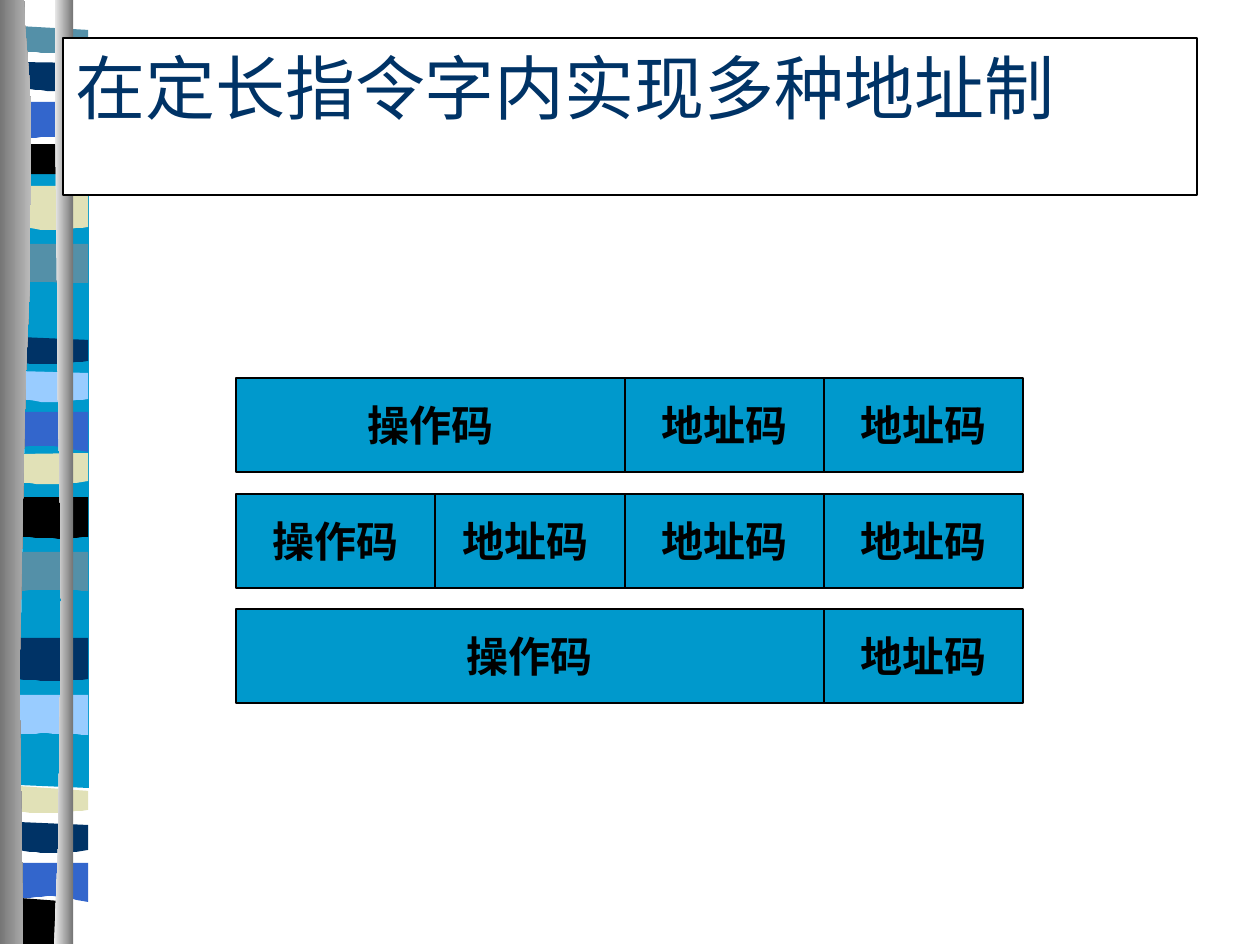
import math
from dataclasses import dataclass

import pptx
import pptx.dml.color
import pptx.enum.shapes
import pptx.enum.text
import pptx.util

PX = 914400 // 126

TITLE = "在定长指令字内实现多种地址制"
OPCODE, ADDRESS = "操作码", "地址码"
INSTRUCTIONS = [(378, 2), (494, 3), (609, 1)]  # top, number of addresses


@dataclass(frozen=True)
class Theme:
    black: str = "000000"
    white: str = "FFFFFF"
    navy: str = "003366"
    cyan: str = "0099CC"
    blue: str = "3366CC"
    sky: str = "99CCFF"
    teal: str = "5490A8"
    sand: str = "E1E1B7"
    shade: str = "767676"
    silver: str = "BBBBBB"
    pale: str = "EEEEEE"
    title_font: str = "Times New Roman"
    field_font: str = "Roboto"
    title_size: int = 40
    field_size: int = 24
    line_width: float = 0.75


THEME = Theme()

BAND_LEFT, BAND_RIGHT = 18, 88
# colour, top left, top right, bottom left, bottom right, sag of the bottom edge
BANDS = [
    (THEME.teal, 26, 30, 52, 54, 0),
    (THEME.navy, 62, 63, 87, 87, 4),
    (THEME.blue, 102, 102, 139, 139, -2),
    (THEME.black, 144, 144, 174, 174, 0),
    (THEME.sand, 186, 186, 227, 227, 3),
    (THEME.teal, 244, 244, 282, 283, 0),
    (THEME.navy, 337, 340, 363, 361, 2),
    (THEME.sky, 371, 373, 399, 399, 3),
    (THEME.blue, 412, 412, 447, 452, -3),
    (THEME.sand, 454, 453, 482, 481, 3),
    (THEME.black, 497, 497, 536, 537, 2),
    (THEME.teal, 552, 552, 591, 591, -1),
    (THEME.navy, 638, 638, 679, 679, 2),
    (THEME.sky, 695, 695, 734, 735, -1),
    (THEME.sand, 786, 791, 812, 810, 2),
    (THEME.navy, 822, 825, 850, 850, 3),
    (THEME.blue, 863, 863, 899, 902, -4),
]
BACKDROP = [(30, 150), (89, 150), (89, 788), (18, 785)]
FOOT = [(20, 898), (73, 902), (73, 944), (20, 944)]
LEFT_POLE = [(0, 0), (24, 0), (25, 26), (31, 100), (31, 180), (30, 280), (26, 370),
             (24, 450), (22, 550), (20, 650), (20, 720), (22, 860), (23, 944), (0, 944)]
RIGHT_POLE = [(73, 0), (55, 0), (55, 100), (57, 280), (58, 400), (60, 500),
              (61, 600), (60, 700), (58, 850), (54, 944), (73, 944)]

TITLE_BOX = (63, 38, 1134, 157)
FIELD_WIDTH, FIELD_HEIGHT = 199, 94
WORD_LEFT, WORD_RIGHT = 236, 1023


def rgb(colour):
    return pptx.dml.color.RGBColor.from_string(colour)


def add_outline(slide, points, colours):
    """Closed polygon; two colours give a left-to-right gradient."""
    builder = slide.shapes.build_freeform(*points[0], scale=PX)
    builder.add_line_segments(points[1:], close=True)
    outline = builder.convert_to_shape()
    outline.shadow.inherit = False
    outline.line.fill.background()
    if len(colours) == 1:
        outline.fill.solid()
        outline.fill.fore_color.rgb = rgb(colours[0])
    else:
        outline.fill.gradient()
        outline.fill.gradient_angle = 0
        for stop, colour in zip(outline.fill.gradient_stops, colours):
            stop.color.rgb = rgb(colour)


def band_points(top_left, top_right, bottom_left, bottom_right, sag, steps=12):
    points = [(BAND_LEFT, top_left), (BAND_RIGHT, top_right)]
    for step in range(steps, -1, -1):
        t = step / steps
        points.append((BAND_LEFT + t * (BAND_RIGHT - BAND_LEFT),
                       bottom_left + t * (bottom_right - bottom_left)
                       + sag * math.sin(math.pi * t)))
    return points


def add_box(slide, box, text, fill):
    """Outlined rectangle; returns its text frame and paragraph for styling."""
    rectangle = slide.shapes.add_shape(
        pptx.enum.shapes.MSO_SHAPE.RECTANGLE, *(v * PX for v in box))
    rectangle.shadow.inherit = False
    rectangle.fill.solid()
    rectangle.fill.fore_color.rgb = rgb(fill)
    rectangle.line.color.rgb = rgb(THEME.black)
    rectangle.line.width = pptx.util.Pt(THEME.line_width)
    frame = rectangle.text_frame
    frame.text = text
    return frame, frame.paragraphs[0]


def style(paragraph, font, size, colour, bold, alignment):
    paragraph.alignment = alignment
    paragraph.font.name = font
    paragraph.font.size = pptx.util.Pt(size)
    paragraph.font.color.rgb = rgb(colour)
    paragraph.font.bold = bold


def add_field(slide, left, top, width, text):
    frame, label = add_box(slide, (left, top, width, FIELD_HEIGHT), text, THEME.cyan)
    frame.word_wrap = False
    frame.vertical_anchor = pptx.enum.text.MSO_ANCHOR.MIDDLE
    style(label, THEME.field_font, THEME.field_size, THEME.black, True,
          pptx.enum.text.PP_ALIGN.CENTER)


def add_border(slide):
    add_outline(slide, BACKDROP, [THEME.cyan])
    for colour, *edges in BANDS:
        add_outline(slide, band_points(*edges), [colour])
    add_outline(slide, FOOT, [THEME.black])
    add_outline(slide, LEFT_POLE, [THEME.shade, THEME.silver])
    add_outline(slide, RIGHT_POLE, [THEME.pale, THEME.shade])


def add_title(slide):
    frame, heading = add_box(slide, TITLE_BOX, TITLE, THEME.white)
    frame.word_wrap = True
    frame.vertical_anchor = pptx.enum.text.MSO_ANCHOR.TOP
    style(heading, THEME.title_font, THEME.title_size, THEME.navy, False,
          pptx.enum.text.PP_ALIGN.LEFT)


def add_instruction(slide, top, addresses):
    """Addresses fill the word from the right; the opcode takes the rest."""
    left = WORD_RIGHT
    for _ in range(addresses):
        left -= FIELD_WIDTH
        add_field(slide, left, top, FIELD_WIDTH, ADDRESS)
    add_field(slide, WORD_LEFT, top, max(FIELD_WIDTH, left - WORD_LEFT), OPCODE)


def main():
    deck = pptx.Presentation()
    deck.slide_width, deck.slide_height = 1260 * PX, 945 * PX
    slide = deck.slides.add_slide(deck.slide_layouts[6])
    add_border(slide)
    add_title(slide)
    for top, addresses in INSTRUCTIONS:
        add_instruction(slide, top, addresses)
    deck.save("out.pptx")


if __name__ == "__main__":
    main()
